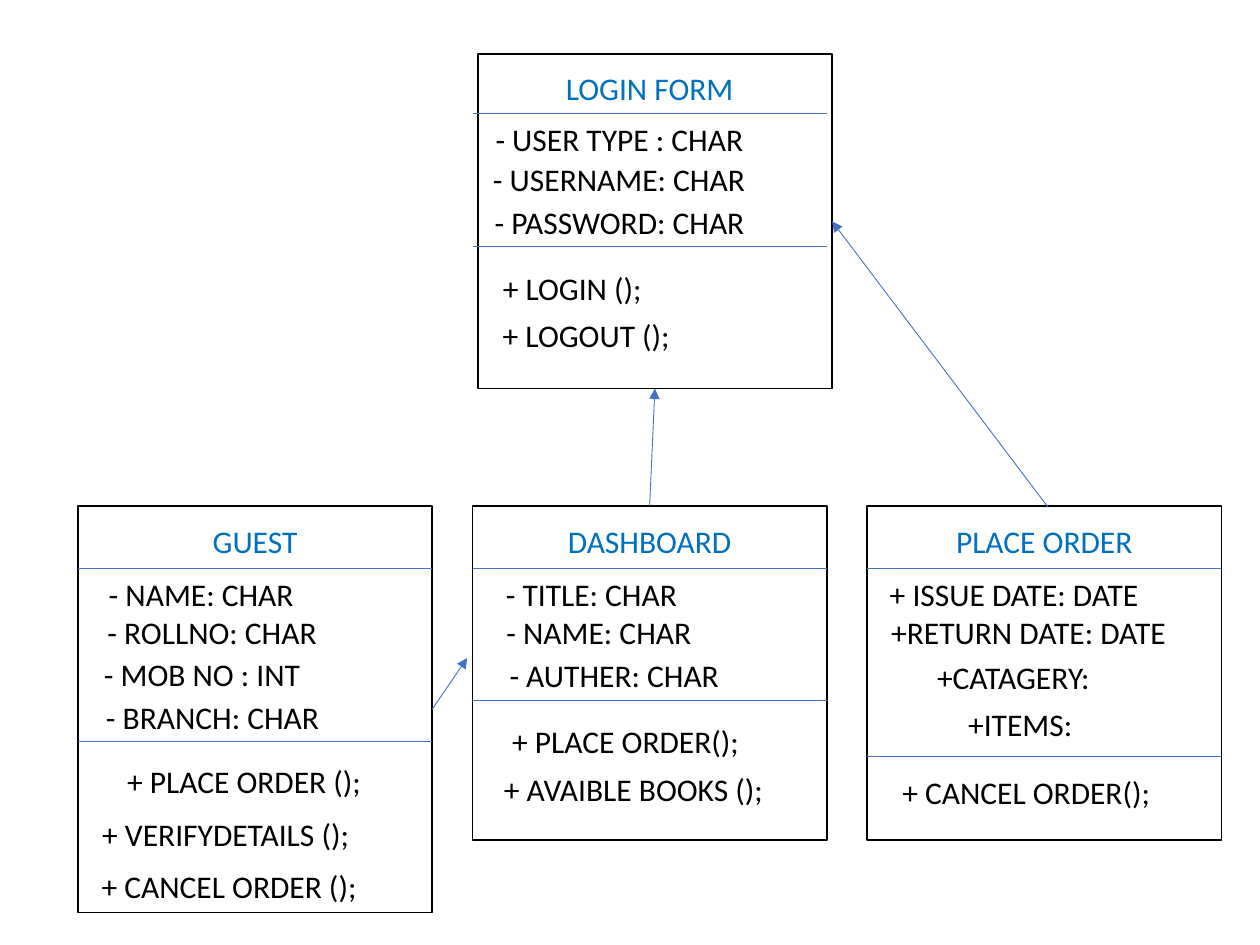
from lxml import etree
from pptx import Presentation
from pptx.dml.color import RGBColor
from pptx.enum import shapes as sh, text as tx
from pptx.oxml.ns import qn
from pptx.util import Pt

BLACK, WHITE, BLUE, TITLE = "000000", "FFFFFF", "4472C4", "0070C0"
WIDTH, LEFT, STEP, TOP = 202.5, 44.5, 225.5, 289
COLS = [LEFT + STEP * i for i in range(3)]

# Each class: box (left, top, height), rule left, rule tops, title top,
# then members as (text, left, top, width).
CLASSES = {
    "LOGIN FORM": ((273, 31, 191), COLS[1], (65, 141), 36, [
        ("- USER TYPE : CHAR", 275, 65, 158),
        ("- USERNAME: CHAR", 272, 88, 163.5),
        ("- PASSWORD: CHAR", 273, 112.5, 162),
        ("+ LOGIN ();", 279, 150, 96),
        ("+ LOGOUT ();", 279, 177, 112)]),
    "GUEST": ((COLS[0], TOP, 232.5), COLS[0], (325, 423.5), 295, [
        ("- NAME: CHAR", 36, 325, 158),
        ("- ROLLNO: CHAR", 39.5, 347, 163.5),
        ("- MOB NO : INT", 34.5, 371, 162),
        ("- BRANCH: CHAR", 29, 395.5, 185),
        ("+ PLACE ORDER ();", 46.5, 432, 186),
        ("+ VERIFYDETAILS ();", 47.5, 462, 163),
        ("+ CANCEL ORDER ();", 49.5, 492, 163)]),
    "DASHBOARD": ((COLS[1], TOP, 191), COLS[1], (325, 400.5), 295, [
        ("- TITLE: CHAR", 259, 325, 158),
        ("- NAME: CHAR", 260.5, 347, 163.5),
        ("- AUTHER: CHAR", 270, 371.5, 162),
        ("+ PLACE ORDER();", 279.5, 409, 156),
        ("+ AVAIBLE BOOKS ();", 279.5, 436.5, 165)]),
    "PLACE ORDER": ((COLS[2], TOP, 191), COLS[2], (325, 432), 295, [
        ("+ ISSUE DATE: DATE", 500.5, 325, 158),
        ("+RETURN DATE: DATE", 494.5, 347, 186.5),
        ("+CATAGERY:", 479, 372.5, 200),
        ("+ITEMS:", 483, 399.5, 200),
        ("+ CANCEL ORDER();", 492.5, 438, 188)]),
}


def color(code):
    return RGBColor.from_string(code)


def put(obj, vals):
    for key, val in vals.items():
        setattr(obj, key, val)


def box(slide, left, top, high):
    rect = slide.shapes.add_shape(
        sh.MSO_SHAPE.RECTANGLE, Pt(left), Pt(top), Pt(WIDTH), Pt(high))
    rect.shadow.inherit = False
    rect.fill.solid()
    rect.fill.fore_color.rgb = color(WHITE)
    rect.line.color.rgb = color(BLACK)
    rect.line.width = Pt(1)
    return rect


def line(slide, start, end):
    link = slide.shapes.add_connector(
        sh.MSO_CONNECTOR.STRAIGHT, *map(Pt, (*start, *end)))
    link.line.color.rgb = color(BLUE)
    link.line.width = Pt(0.5)
    etree.SubElement(link._element.spPr, qn("a:effectLst"))
    return link


def arrow(slide, start, end):
    link = line(slide, start, end)
    etree.SubElement(link.line._get_or_add_ln(), qn("a:tailEnd"),
                     type="triangle")
    return link


def label(slide, words, left, top, wide, hue=BLACK):
    area = slide.shapes.add_textbox(Pt(left), Pt(top), Pt(wide), Pt(29))
    frame = area.text_frame
    put(frame, {"word_wrap": True,
                "auto_size": tx.MSO_AUTO_SIZE.SHAPE_TO_FIT_TEXT})
    para = frame.paragraphs[0]
    para.alignment = tx.PP_ALIGN.CENTER
    run = para.add_run()
    run.text = words
    put(run.font, {"name": "Calibri", "size": Pt(18)})
    run.font.color.rgb = color(hue)


def card(slide, name):
    """Draw one class with its rules, title and members; return its box."""
    place, left, rules, top, rows = CLASSES[name]
    rect = box(slide, *place)
    for y in rules:
        line(slide, (left, y), (left + WIDTH, y))
    label(slide, name, left + 5, top, WIDTH - 10, TITLE)
    for row in rows:
        label(slide, *row)
    return rect


def main():
    deck = Presentation()
    put(deck, {"slide_width": Pt(720), "slide_height": Pt(540)})
    slide = deck.slides.add_slide(deck.slide_layouts[6])
    login, guest, board, order = [card(slide, name) for name in CLASSES]

    link = arrow(slide, (371, 289), (374, 222))
    link.begin_connect(board, 0)
    link.end_connect(login, 2)
    arrow(slide, (599, 290), (475.5, 126.5)).end_connect(login, 3)
    arrow(slide, (247, 405), (267, 376)).begin_connect(guest, 3)
    deck.save("out.pptx")


if __name__ == "__main__":
    main()
